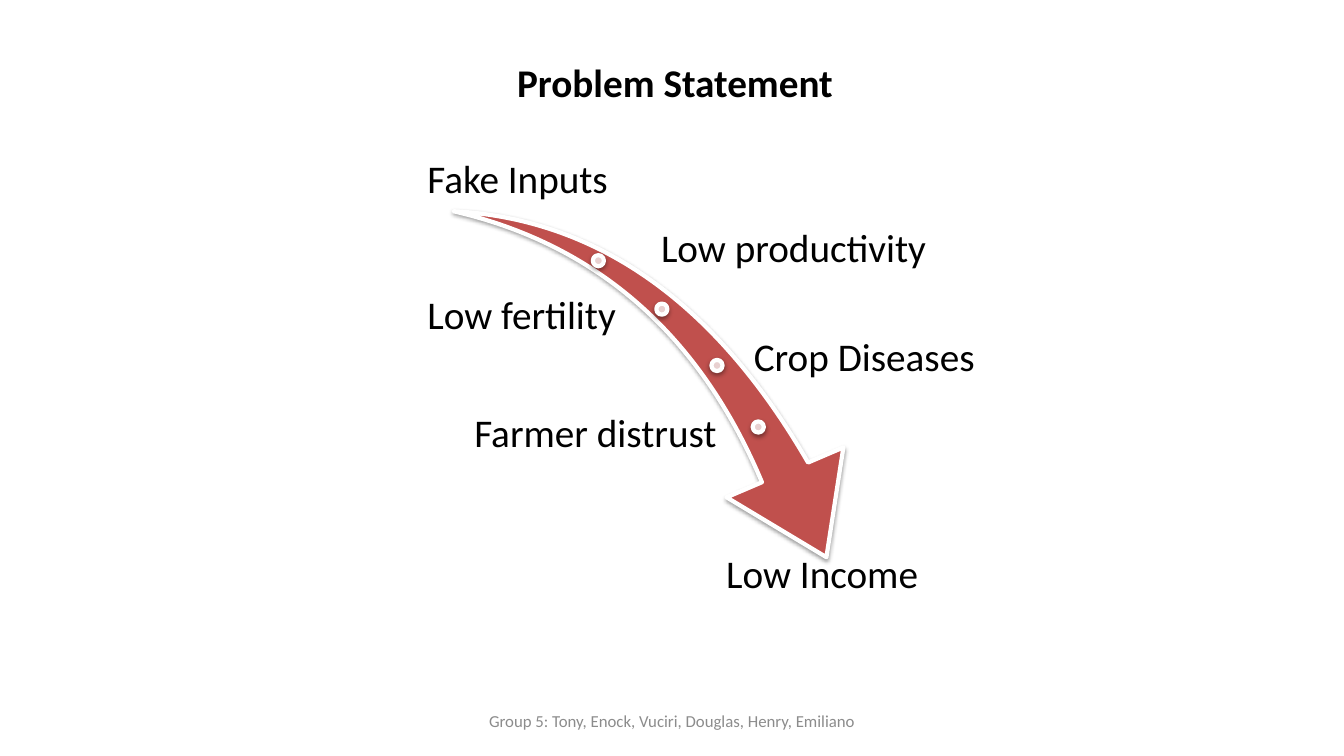
from lxml import etree
from pptx import Presentation
from pptx.dml.color import RGBColor
from pptx.enum.shapes import MSO_SHAPE
from pptx.enum.text import MSO_ANCHOR, PP_ALIGN
from pptx.oxml import parse_xml
from pptx.util import Cm, Pt

LEFT, CENTER, RIGHT = PP_ALIGN.LEFT, PP_ALIGN.CENTER, PP_ALIGN.RIGHT
TOP, MIDDLE, BOTTOM = MSO_ANCHOR.TOP, MSO_ANCHOR.MIDDLE, MSO_ANCHOR.BOTTOM
SWOOSH, OVAL = MSO_SHAPE.SWOOSH_ARROW, MSO_SHAPE.OVAL

BLACK = RGBColor(0x00, 0x00, 0x00)
WHITE = RGBColor(0xFF, 0xFF, 0xFF)
RED = RGBColor(0xC0, 0x50, 0x4D)
PINK = RGBColor(0xE8, 0xD0, 0xD0)
GRAY = RGBColor(0x8C, 0x8C, 0x8C)

TITLE = "Problem Statement"
FOOTER = "Group 5: Tony, Enock, Vuciri, Douglas, Henry, Emiliano"
LABELS = [
    ("Fake Inputs", 10.44, 3.12, 5.21, CENTER, BOTTOM),
    ("Low productivity", 16.56, 5.26, 7.75, LEFT, MIDDLE),
    ("Low fertility", 10.41, 6.96, 5.21, RIGHT, MIDDLE),
    ("Crop Diseases", 18.9, 8, 6.1, LEFT, MIDDLE),
    ("Farmer distrust", 10.41, 9.93, 7.75, RIGHT, MIDDLE),
    ("Low Income", 17.2, 13.87, 7.04, CENTER, TOP),
]
LABEL_HEIGHT = 2.06
LABEL_MARGIN = Cm(0.1)
DOTS = [(14.94, 6.43), (16.54, 7.65), (17.93, 9.07), (18.97, 10.62)]
DOT_SIZE = 0.28
SHADOW = (
    '<a:outerShdw xmlns:a="http://schemas.openxmlformats.org/drawingml/2006/main" '
    'blurRad="40000" dist="20000" dir="5400000" rotWithShape="0">'
    '<a:srgbClr val="000000"><a:alpha val="38000"/></a:srgbClr></a:outerShdw>'
)


def write(tf, text, size, color, align, anchor, bold=False):
    tf.vertical_anchor = anchor
    p = tf.paragraphs[0]
    p.alignment = align
    r = p.add_run()
    r.text = text
    r.font.name = "Calibri"
    r.font.size = Pt(size)
    r.font.bold = bold
    r.font.color.rgb = color
    return p


def add_text(slide, box, *style):
    tf = slide.shapes.add_textbox(*map(Cm, box)).text_frame
    tf.word_wrap = True
    return tf, write(tf, *style)


def add_shadowed(slide, kind, box, color):
    sp = slide.shapes.add_shape(kind, *map(Cm, box))
    sp.fill.solid()
    sp.fill.fore_color.rgb = color
    sp.line.color.rgb = WHITE
    sp.line.width = Pt(3)
    sp.shadow.inherit = False
    effects = sp.element.spPr.find(
        etree.QName("http://schemas.openxmlformats.org/drawingml/2006/main", "effectLst")
    )
    effects.append(parse_xml(SHADOW))
    return sp


def main():
    prs = Presentation()
    prs.slide_width, prs.slide_height = Cm(33.87), Cm(19.05)
    slide = prs.slides.add_slide(prs.slide_layouts[5])

    title = slide.shapes.title
    title.left, title.top, title.width, title.height = map(Cm, (12.78, 1.35, 8.56, 1.45))
    title.text_frame.word_wrap = False
    write(title.text_frame, TITLE, 28, BLACK, LEFT, TOP, True)

    arrow = add_shadowed(slide, SWOOSH, (11.18, 5.66, 11.05, 7.7), RED)
    arrow.rotation = 73.3
    arrow.adjustments[0] = 0.163
    arrow.adjustments[1] = 0.314

    for x, y in DOTS:
        add_shadowed(slide, OVAL, (x, y, DOT_SIZE, DOT_SIZE), PINK)

    for text, x, y, width, align, anchor in LABELS:
        tf, p = add_text(slide, (x, y, width, LABEL_HEIGHT), text, 28, BLACK, align, anchor)
        tf.margin_left = tf.margin_right = LABEL_MARGIN
        tf.margin_top = tf.margin_bottom = LABEL_MARGIN
        p.line_spacing = 0.9

    add_text(slide, (11.58, 17.65, 10.72, 1.02), FOOTER, 12, GRAY, CENTER, MIDDLE)
    prs.save("out.pptx")


if __name__ == "__main__":
    main()
